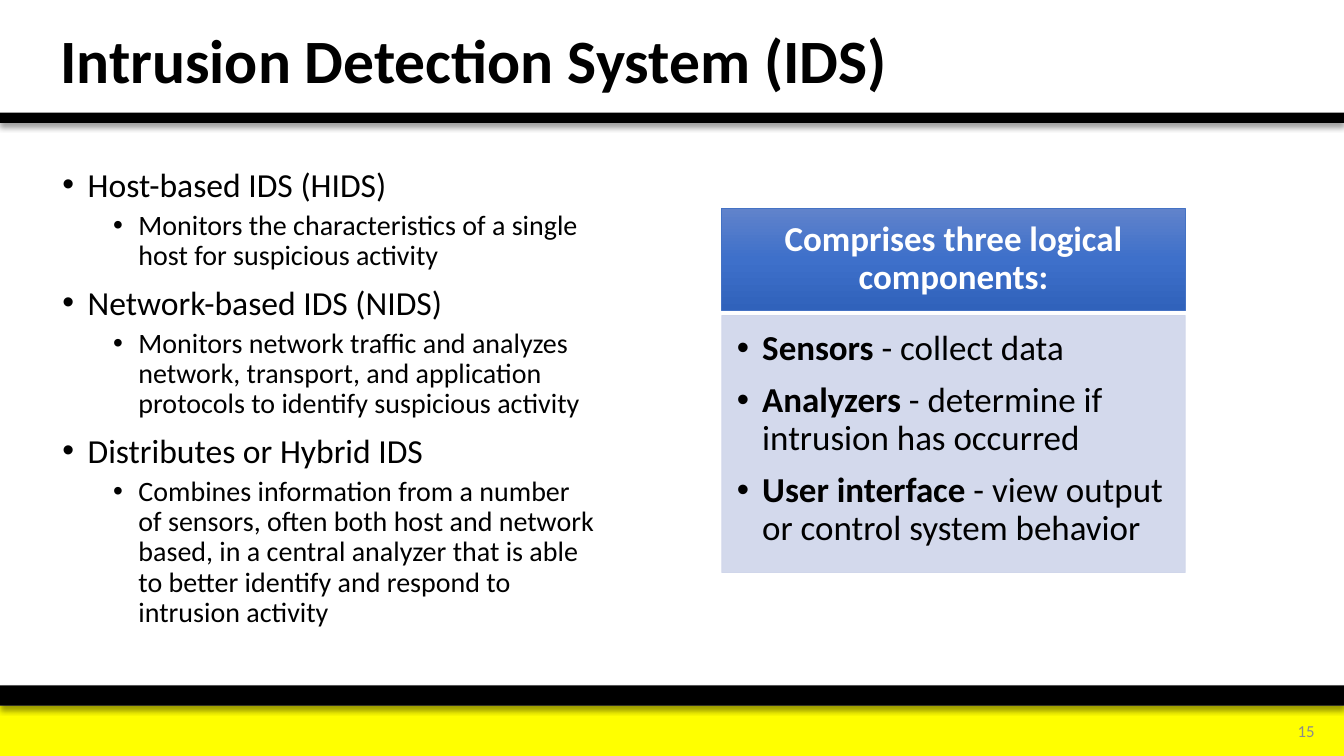
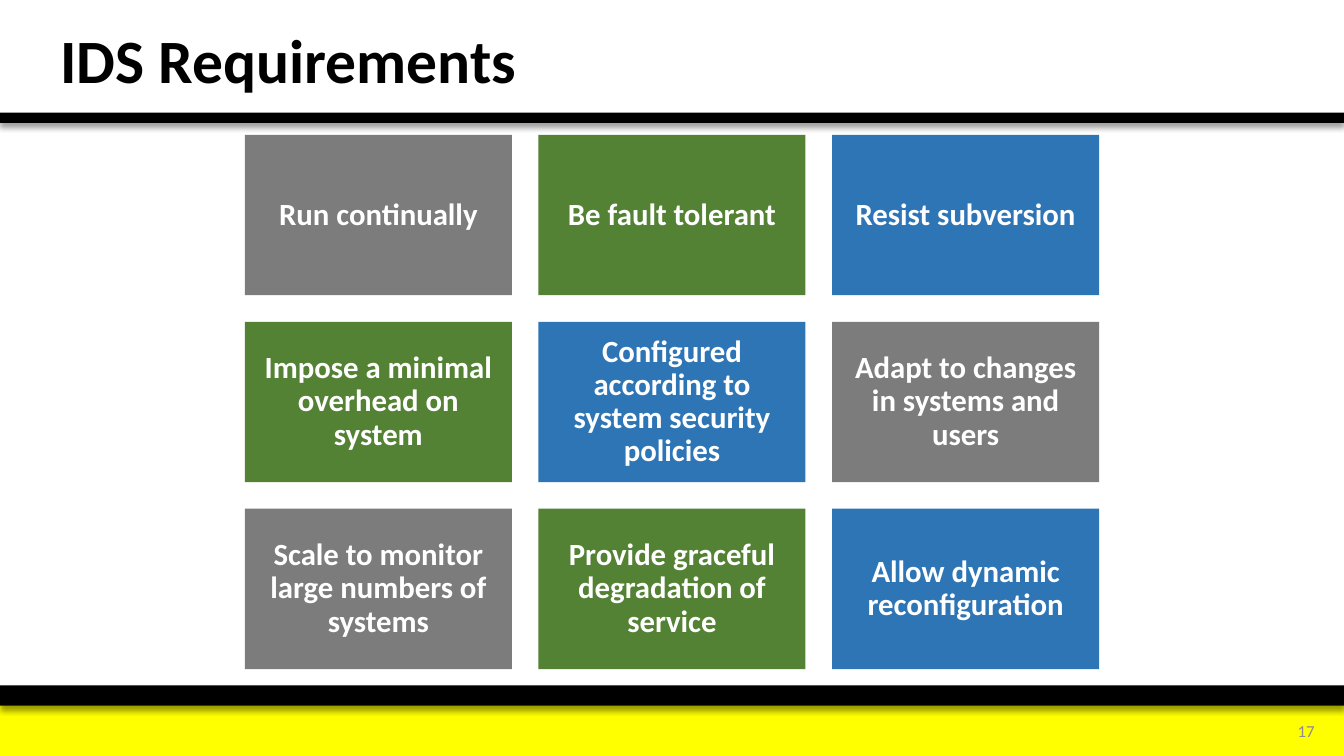
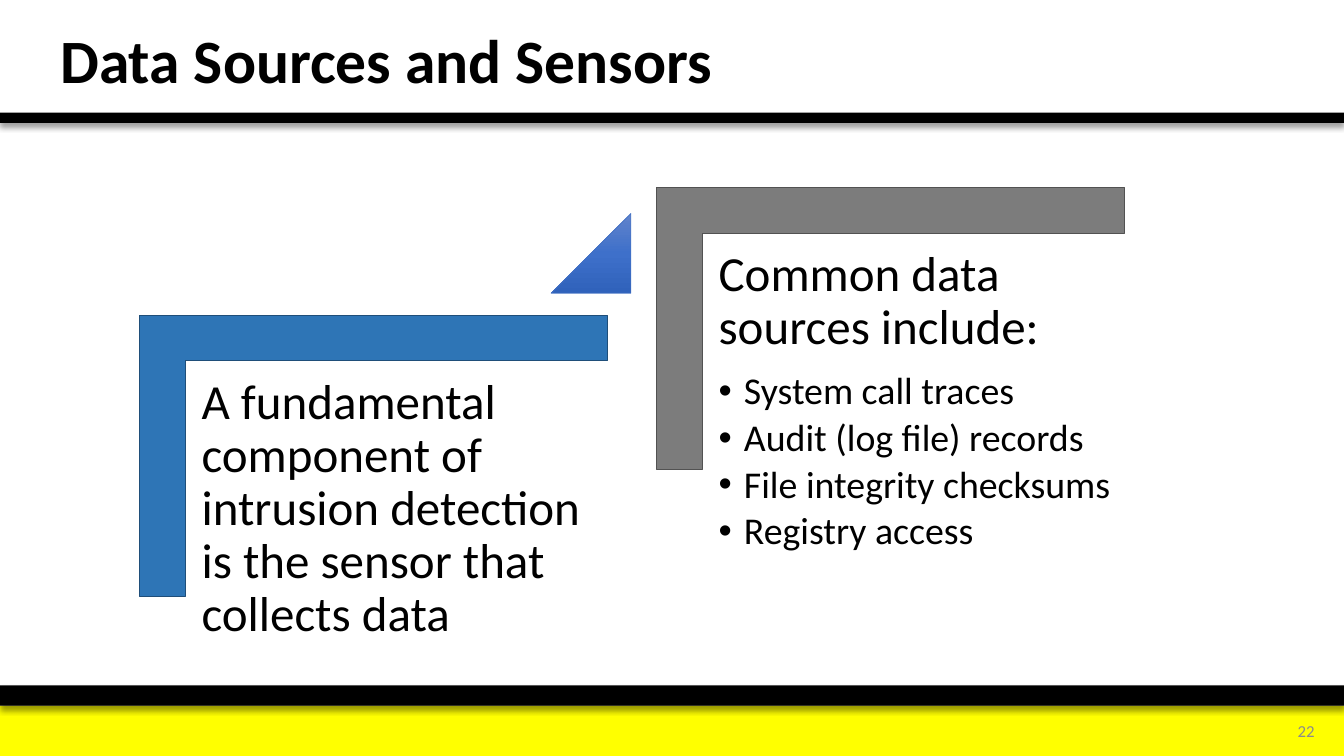
from copy import deepcopy
from dataclasses import dataclass, replace

from lxml import etree
from pptx import Presentation
from pptx import util as u
from pptx.dml.color import RGBColor
from pptx.enum import shapes, text
from pptx.oxml import ns


# Theme: colours, type sizes (points)
class Theme:
    font = "Calibri"
    black, white, yellow = "000000", "FFFFFF", "FFFF00"
    gray, green, blue = "7C7C7C", "548235", "2E75B6"
    gray_edge, blue_edge, accent_edge = "525252", "1F4E79", "4472C4"
    pale, number_gray = "CFD5EA", "8C8C8C"
    accent = ("6183CB", "3E70CA", "3062BB")
    title, topic, detail, component = 44, 24, 20, 25
    tile, statement, source, number = 22, 35, 27, 12


@dataclass
class Style:
    size: float
    color: str = Theme.black
    bold: bool = False
    align: text.PP_ALIGN = text.PP_ALIGN.LEFT
    before: float = 0
    after: float = 0
    indent: float = 0  # cm to the text of a bulleted paragraph


HANG = 0.64
TITLE = Style(Theme.title, bold=True)
NUMBER = Style(Theme.number, Theme.number_gray, align=text.PP_ALIGN.RIGHT)
TOPIC = Style(Theme.topic, before=10, indent=HANG)
DETAIL = Style(Theme.detail, before=5, indent=3 * HANG)
COMPONENT = Style(Theme.component, after=10.3, indent=HANG)
TILE = Style(Theme.tile, Theme.white, True, text.PP_ALIGN.CENTER, after=7.7)
HEADING = replace(TILE, size=Theme.component, after=8.75)
STATEMENT = Style(Theme.statement, after=12.25)
SOURCE = Style(Theme.source, after=4.05, indent=HANG)


def add_block(slide, kind, box, fill, edge=None):
    """Add a preset shape; a tuple of colours makes a vertical gradient."""
    block = slide.shapes.add_shape(kind, *map(u.Cm, box))
    block.shadow.inherit = False
    if isinstance(fill, tuple):
        block.fill.gradient()
        block.fill.gradient_angle = 270
        stops = block.fill.gradient_stops
        last = stops[1]._gs
        last.addprevious(deepcopy(last))
        for i, (stop, color) in enumerate(zip(block.fill.gradient_stops, fill)):
            stop.position = i / (len(fill) - 1)
            stop.color.rgb = RGBColor.from_string(color)
    else:
        block.fill.solid()
        block.fill.fore_color.rgb = RGBColor.from_string(fill)
    if edge:
        block.line.color.rgb = RGBColor.from_string(edge)
        block.line.width = u.Pt(0.5)
    else:
        block.line.fill.background()
    return block


def write(holder, lines, middle=False, insets=(0.25, 0.13, 0.25, 0.13)):
    """Fill a shape with (text, style) lines; a (lead, rest) text has a bold lead."""
    frame = holder.text_frame
    frame.word_wrap = True
    frame.vertical_anchor = text.MSO_ANCHOR.MIDDLE if middle else text.MSO_ANCHOR.TOP
    (frame.margin_left, frame.margin_top,
     frame.margin_right, frame.margin_bottom) = map(u.Cm, insets)
    for i, (words, style) in enumerate(lines):
        paragraph = frame.add_paragraph() if i else frame.paragraphs[0]
        has_lead = isinstance(words, tuple)
        paragraph.text = words[0] if has_lead else words
        if has_lead:
            paragraph.add_run().text = words[1]
        paragraph.alignment = style.align
        paragraph.line_spacing = 0.9
        paragraph.space_before = u.Pt(style.before)
        paragraph.space_after = u.Pt(style.after)
        for j, run in enumerate(paragraph.runs):
            run.font.name = Theme.font
            run.font.size = u.Pt(style.size)
            run.font.bold = style.bold or (has_lead and j == 0)
            run.font.color.rgb = RGBColor.from_string(style.color)
        if style.indent:
            props = paragraph._p.get_or_add_pPr()
            props.set("marL", str(u.Cm(style.indent)))
            props.set("indent", str(-u.Cm(HANG)))
            etree.SubElement(props, ns.qn("a:buFont"), typeface="Arial")
            etree.SubElement(props, ns.qn("a:buChar"), char="•")


RECT = shapes.MSO_SHAPE.RECTANGLE
WIDTH, HEIGHT = 33.87, 19.05
deck = Presentation()
deck.slide_width, deck.slide_height = u.Cm(WIDTH), u.Cm(HEIGHT)

# Shared frame: bands, page number, title
pages = []
for title, number in (("Intrusion Detection System (IDS)", "15"),
                      ("IDS Requirements", "17"),
                      ("Data Sources and Sensors", "22")):
    page = deck.slides.add_slide(deck.slide_layouts[6])
    add_block(page, RECT, (0, 17.78, WIDTH, 1.27), Theme.yellow)
    for top, height in ((17.27, 0.51), (2.84, 0.26)):
        band = add_block(page, RECT, (0, top, WIDTH, height), Theme.black)
        effects = band._element.spPr.find(ns.qn("a:effectLst"))
        shadow = etree.SubElement(effects, ns.qn("a:outerShdw"), blurRad=str(u.Pt(4)),
                                  dist=str(u.Pt(3)), dir="5400000", algn="t", rotWithShape="0")
        tint = etree.SubElement(shadow, ns.qn("a:srgbClr"), val=Theme.black)
        etree.SubElement(tint, ns.qn("a:alpha"), val="40000")
    for box, words, style in (((31.45, 17.93, 1.93, 1.02), number, NUMBER),
                              ((1.27, 0.18, 24.54, 2.84), title, TITLE)):
        write(page.shapes.add_textbox(*map(u.Cm, box)), [(words, style)], middle=True)
    pages.append(page)
types_page, needs_page, sources_page = pages

# IDS types
ids_types = types_page.shapes.add_textbox(*map(u.Cm, (1.32, 4.11, 13.92, 11.96)))
write(ids_types, [
    ("Host-based IDS (HIDS)", TOPIC),
    ("Monitors the characteristics of a single host for suspicious activity", DETAIL),
    ("Network-based IDS (NIDS)", TOPIC),
    ("Monitors network traffic and analyzes network, transport, and application "
     "protocols to identify suspicious activity", DETAIL),
    ("Distributes or Hybrid IDS", TOPIC),
    ("Combines information from a number of sensors, often both host and network based, "
     "in a central analyzer that is able to better identify and respond to intrusion "
     "activity", DETAIL),
])

# Logical components
heading = add_block(types_page, RECT, (18.19, 5.24, 11.68, 2.58), Theme.accent,
                    Theme.accent_edge)
write(heading, [("Comprises three logical components:", HEADING)], True,
      (0.48, 0.28, 0.48, 0.28))
components = add_block(types_page, RECT, (18.19, 7.95, 11.68, 6.48), Theme.pale, Theme.pale)
for color in list(components._element.spPr.iter(ns.qn("a:srgbClr"))):
    etree.SubElement(color, ns.qn("a:alpha"), val="90000")
write(components, [
    (("Sensors ", "- collect data"), COMPONENT),
    (("Analyzers ", "- determine if intrusion has occurred"), COMPONENT),
    (("User interface ", "- view output or control system behavior"), COMPONENT),
], insets=(0.38, 0.38, 0.48, 0.56))

# Requirement tiles
requirements = (
    ("Run continually", Theme.gray),
    ("Be fault tolerant", Theme.green),
    ("Resist subversion", Theme.blue),
    ("Impose a minimal overhead on system", Theme.green),
    ("Configured according to system security policies", Theme.blue),
    ("Adapt to changes in systems and users", Theme.gray),
    ("Scale to monitor large numbers of systems", Theme.gray),
    ("Provide graceful degradation of service", Theme.green),
    ("Allow dynamic reconfiguration", Theme.blue),
)
TILE_W, TILE_H, GAP = 6.73, 4.04, 0.67
for i, (requirement, fill) in enumerate(requirements):
    row, column = divmod(i, 3)
    box = (6.17 + column * (TILE_W + GAP), 3.4 + row * (TILE_H + GAP), TILE_W, TILE_H)
    tile = add_block(needs_page, RECT, box, fill)
    write(tile, [(requirement, TILE)], True, (0.23,) * 4)

# Rising steps: sensor, then data sources
steps = (
    (Theme.blue, Theme.blue_edge, [
        ("A fundamental component of intrusion detection is the sensor that collects data",
         STATEMENT)]),
    (Theme.gray, Theme.gray_edge, [
        ("Common data sources include:", STATEMENT),
        ("System call traces", SOURCE),
        ("Audit (log file) records", SOURCE),
        ("File integrity checksums", SOURCE),
        ("Registry access", SOURCE)]),
)
for i, (fill, edge, lines) in enumerate(steps):
    right, up = 13.03 * i, 3.22 * i
    corner = add_block(sources_page, shapes.MSO_SHAPE.CORNER,
                       (5.87 + right, 5.6 - up, 7.09, 11.79), fill, edge)
    corner.rotation = 90
    corner.adjustments[0] = corner.adjustments[1] = 0.161
    step = sources_page.shapes.add_textbox(
        *map(u.Cm, (4.7 + right, 9.12 - up, 10.64, 9.32)))
    write(step, lines, insets=(0.38,) * 4)
rise = add_block(sources_page, shapes.MSO_SHAPE.ISOSCELES_TRIANGLE,
                 (13.89, 5.38, 2.01, 2.01), Theme.accent, Theme.accent_edge)
rise.adjustments[0] = 1

deck.save("out.pptx")
